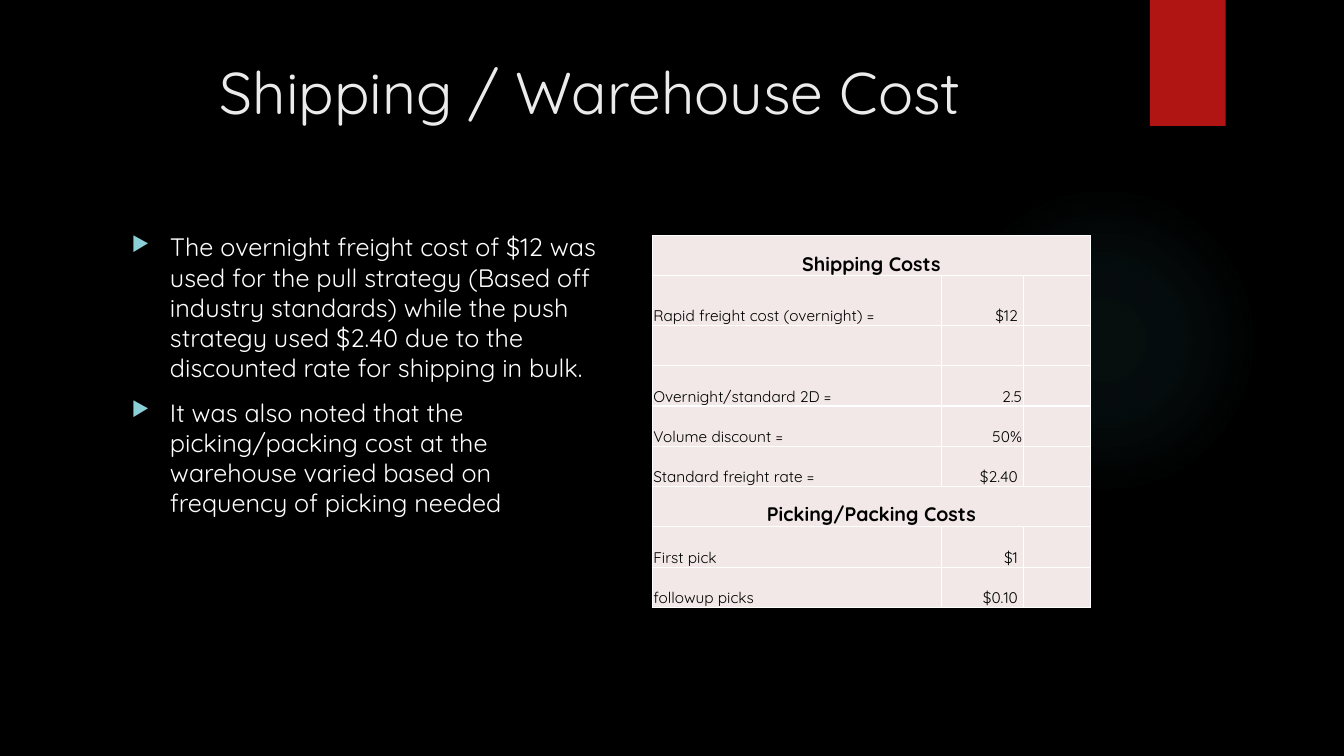
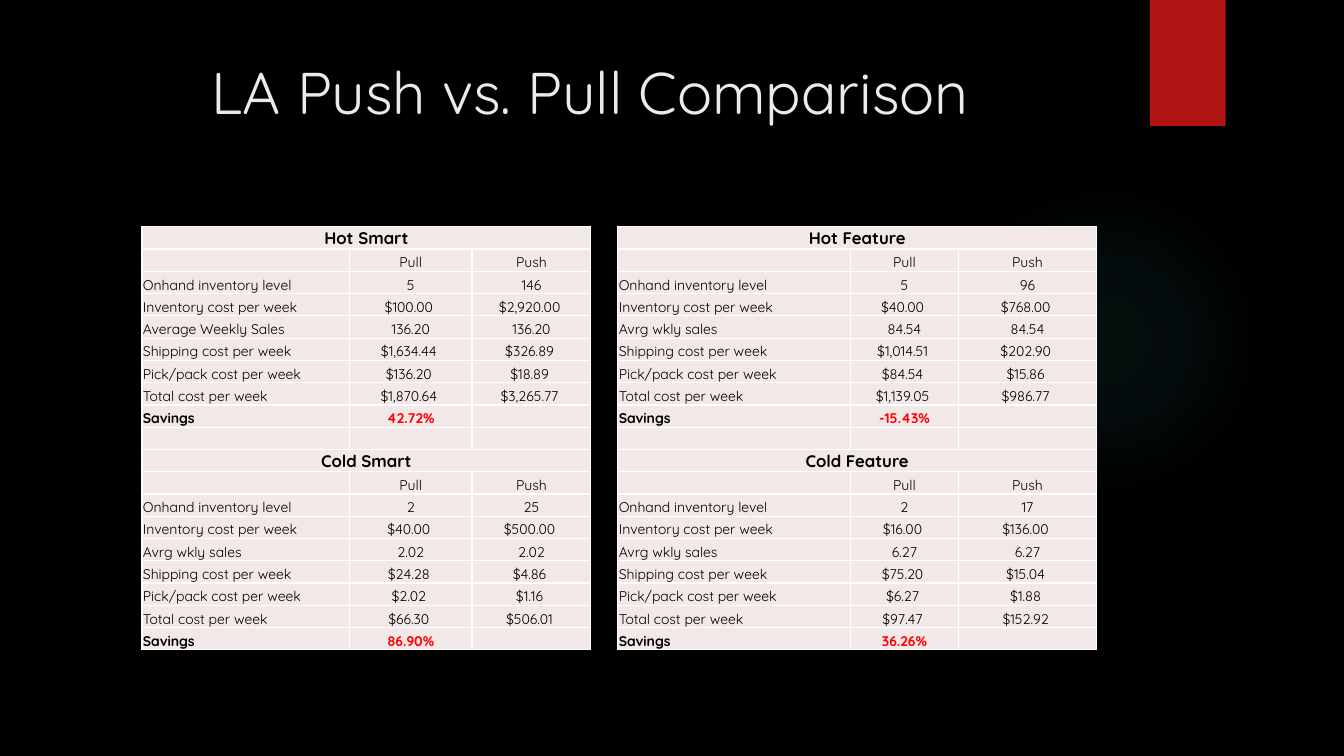
from lxml.etree import SubElement as Sub
from pptx import Presentation
from pptx.dml.color import RGBColor as Rgb
from pptx.enum.shapes import MSO_SHAPE as Kind
from pptx.enum.text import MSO_ANCHOR as Anchor, PP_ALIGN as Align
from pptx.oxml import parse_xml
from pptx.oxml.ns import nsdecls, qn
from pptx.util import Inches, Pt

INK = {
    "back": "000000", "title": "EBEBEB", "body": "FFFFFF", "mark": "8AD0D6",
    "flag": "B01513", "glow": "50B9C1", "cell": "F2E8E7", "rule": "FFFFFF",
    "dark": "000000", "gain": "FF0000",
}
FONT = "Quicksand"
WIDE, HIGH = 13.33, 7.5
COLS, ROWS = 32, 18
SIDES = {"left": Align.LEFT, "mid": Align.CENTER, "right": Align.RIGHT}


def across(cols):
    return Inches(WIDE * cols / COLS)


def down(rows):
    return Inches(HIGH * rows / ROWS)


def area(left, top, width, height):
    return across(left), down(top), across(width), down(height)


def paint(fill, ink):
    fill.solid()
    fill.fore_color.rgb = Rgb.from_string(INK[ink])


def write(para, text, size=18, ink="dark", bold=False, side="left"):
    """Put formatted text in a paragraph; an empty one keeps its size."""
    para.alignment = SIDES[side]
    if not text:
        Sub(para._p, qn("a:endParaRPr"), sz=str(size * 100))
        return
    run = para.add_run()
    run.text = text
    font = run.font
    font.name, font.size, font.bold = FONT, Pt(size), bold
    font.color.rgb = Rgb.from_string(INK[ink])


class Deck:
    def __init__(self):
        self.file = Presentation()
        self.file.slide_width = Inches(WIDE)
        self.file.slide_height = Inches(HIGH)
        self.slide = None

    def page(self, title):
        """Start a slide with the shared glow, flag and title."""
        self.slide = self.file.slides.add_slide(self.file.slide_layouts[6])
        paint(self.slide.background.fill, "back")
        self.glow(22.58, 4.4, 7.4, 7.4)
        paint(self.shape(Kind.RECTANGLE, 27.38, 0, 1.8, 3).fill, "flag")
        frame = self.box(1.7, 1.2, 24.7, 3.67)
        write(frame.paragraphs[0], title, size=42, ink="title", side="mid")

    def shape(self, kind, *spot):
        item = self.slide.shapes.add_shape(kind, *area(*spot))
        item.shadow.inherit = False
        item.line.fill.background()
        return item

    def glow(self, *spot):
        item = self.shape(Kind.OVAL, *spot)
        item.fill.background()
        stops = "".join(
            f'<a:gs pos="{at * 1000}"><a:srgbClr val="{INK["glow"]}">'
            f'<a:alpha val="{alpha * 1000}"/></a:srgbClr></a:gs>'
            for at, alpha in ((0, 7), (36, 6), (69, 0)))
        fade = parse_xml(
            f'<a:gradFill {nsdecls("a")}><a:gsLst>{stops}</a:gsLst>'
            '<a:path path="circle"><a:fillToRect l="50000" t="50000" '
            'r="50000" b="50000"/></a:path></a:gradFill>')
        props = item._element.spPr
        props.replace(props.find(qn("a:noFill")), fade)

    def box(self, *spot):
        frame = self.slide.shapes.add_textbox(*area(*spot)).text_frame
        frame.word_wrap = True
        frame.vertical_anchor = Anchor.TOP
        return frame

    def list(self, items, *spot):
        frame = self.box(*spot)
        for num, text in enumerate(items):
            para = frame.add_paragraph() if num else frame.paragraphs[0]
            write(para, text, ink="body")
            para.space_before = Pt(10)
            props = para._p.get_or_add_pPr()
            inset = Inches(0.38)
            props.set("marL", str(inset))
            props.set("indent", str(-inset))
            Sub(Sub(props, qn("a:buClr")), qn("a:srgbClr"), val=INK["mark"])
            Sub(props, qn("a:buSzPct"), val="80000")
            Sub(props, qn("a:buChar"), char="▶")

    def table(self, rows, left, top, cols, highs, size, head, side):
        """Draw rows: one entry spans the table, missing entries stay empty."""
        frame = self.slide.shapes.add_table(
            len(rows), len(cols), *area(left, top, sum(cols), sum(highs)))
        grid = frame.table
        grid.first_row = grid.horz_banding = False
        for col, width in zip(grid.columns, cols):
            col.width = across(width)
        for y, (row, high) in enumerate(zip(rows, highs)):
            grid.rows[y].height = down(high)
            for x in range(len(cols)):
                self.cell(grid.cell(y, x))
            if len(row) == 1:
                grid.cell(y, 0).merge(grid.cell(y, len(cols) - 1))
            for x in range(len(cols)):
                text = row[x] if x < len(row) else ""
                look = {"size": size, "side": side if x else "left"}
                if len(row) == 1 and not x:
                    look = {"size": head, "side": "mid", "bold": True}
                elif row and row[0] == "Savings":
                    look.update(bold=True, ink="gain" if x else "dark")
                # Money keeps a one-space pad on its right
                if text.startswith("$"):
                    text += " "
                write(grid.cell(y, x).text_frame.paragraphs[0], text, **look)

    def cell(self, cell):
        paint(cell.fill, "cell")
        cell.vertical_anchor = Anchor.BOTTOM
        cell.margin_left = cell.margin_right = cell.margin_top = Inches(0.01)
        cell.margin_bottom = 0
        props = cell._tc.get_or_add_tcPr()
        for num, edge in enumerate("LRTB"):
            props.insert(num, parse_xml(
                f'<a:ln{edge} {nsdecls("a")} w="{Pt(1)}"><a:solidFill>'
                f'<a:srgbClr val="{INK["rule"]}"/></a:solidFill></a:ln{edge}>'))


def block(name, pull, push, sales="Avrg wkly sales"):
    """Rows that compare pull and push for one product."""
    names = ["", "Onhand inventory level", "Inventory cost per week", sales,
             "Shipping cost per week", "Pick/pack cost per week",
             "Total cost per week", "Savings"]
    pulls = ["Pull"] + pull.split()
    pushes = ["Push"] + push.split() + [""]
    return [(name,)] + list(zip(names, pulls, pushes))


def main():
    deck = Deck()

    # Slide 1: cost basis
    deck.page("Shipping / Warehouse Cost")
    deck.list([
        "The overnight freight cost of $12 was used for the pull strategy "
        "(Based off industry standards) while the push strategy used $2.40 "
        "due to the discounted rate for shipping in bulk.",
        "It was also noted that the picking/packing cost at the warehouse "
        "varied based on frequency of picking needed",
    ], 2.9, 5.4, 11.54, 11.02)
    costs = [
        ("Shipping Costs",),
        ("Rapid freight cost (overnight) =", "$12"),
        (),
        ("Overnight/standard 2D =", "2.5"),
        ("Volume discount =", "50%"),
        ("Standard freight rate =", "$2.40"),
        ("Picking/Packing Costs",),
        ("First pick", "$1"),
        ("followup picks", "$0.10"),
    ]
    deck.table(costs, 15.53, 5.61, (6.89, 1.94, 1.61),
               [0.96, 1.18] + [0.96] * 7, size=11, head=14, side="right")

    # Slide 2: pull against push
    deck.page("LA Push vs. Pull Comparison")
    smart = block(
        "Hot Smart",
        "5 $100.00 136.20 $1,634.44 $136.20 $1,870.64 42.72%",
        "146 $2,920.00 136.20 $326.89 $18.89 $3,265.77",
        sales="Average Weekly Sales",
    ) + [()] + block(
        "Cold Smart",
        "2 $40.00 2.02 $24.28 $2.02 $66.30 86.90%",
        "25 $500.00 2.02 $4.86 $1.16 $506.01")
    feature = block(
        "Hot Feature",
        "5 $40.00 84.54 $1,014.51 $84.54 $1,139.05 -15.43%",
        "96 $768.00 84.54 $202.90 $15.86 $986.77",
    ) + [()] + block(
        "Cold Feature",
        "2 $16.00 6.27 $75.20 $6.27 $97.47 36.26%",
        "17 $136.00 6.27 $15.04 $1.88 $152.92")
    for rows, left, cols in ((smart, 3.38, (4.94, 2.92, 2.83)),
                             (feature, 14.71, (5.54, 2.57, 3.29))):
        deck.table(rows, left, 5.4, cols, [10.08 / len(rows)] * len(rows),
                   size=10, head=12, side="mid")

    deck.file.save("out.pptx")


if __name__ == "__main__":
    main()
